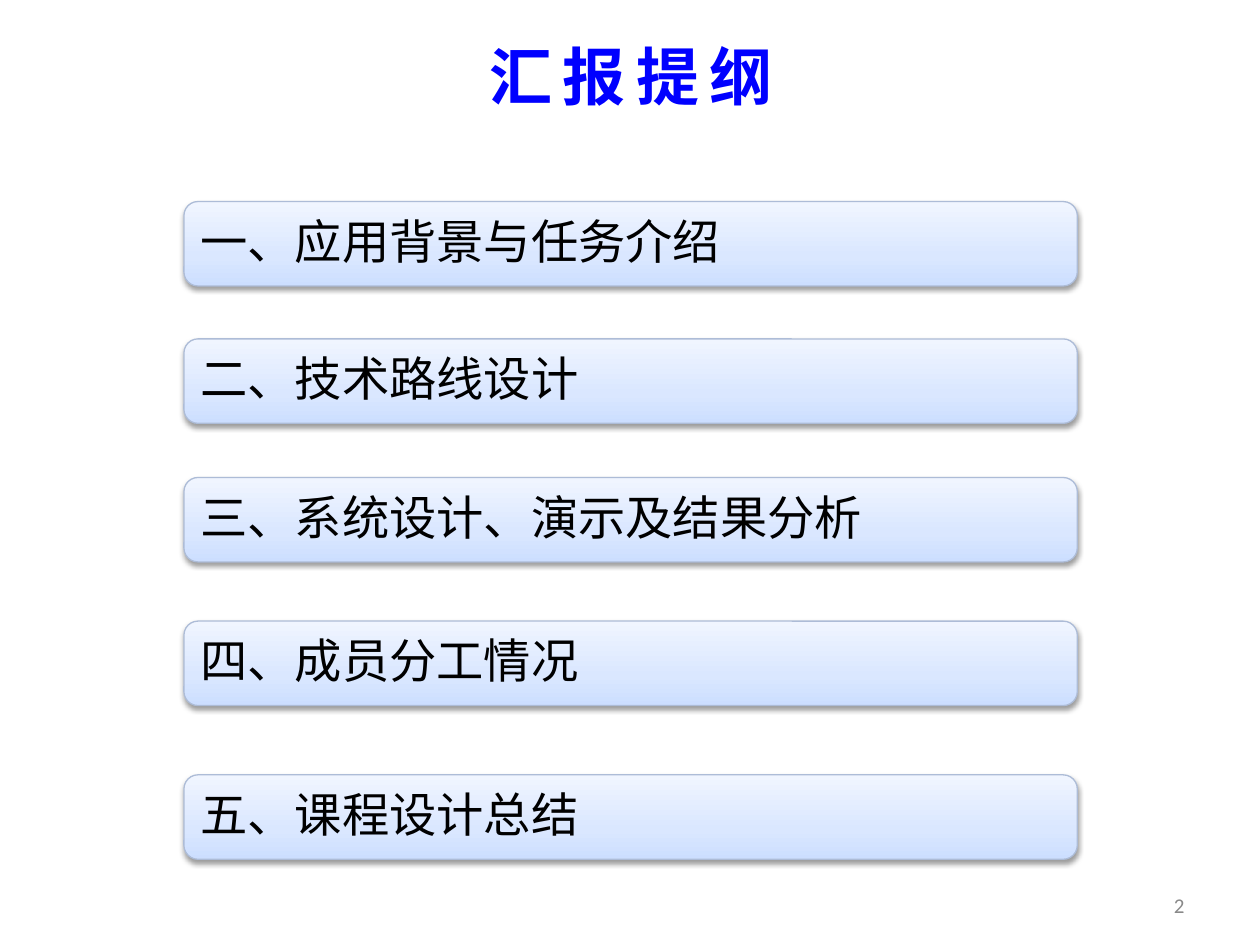
"""Build the report outline slide: a title, five agenda bars and a page number."""
from dataclasses import dataclass

from lxml import etree
from pptx import Presentation
from pptx.dml.color import RGBColor
from pptx.enum.shapes import MSO_SHAPE
from pptx.enum.text import MSO_ANCHOR, MSO_AUTO_SIZE, PP_ALIGN
from pptx.oxml import parse_xml
from pptx.oxml.ns import nsdecls, qn
from pptx.util import Inches, Pt

ROUNDED = MSO_SHAPE.ROUNDED_RECTANGLE
MIDDLE = MSO_ANCHOR.MIDDLE
NO_AUTOFIT = MSO_AUTO_SIZE.NONE
LEFT, CENTER, RIGHT = PP_ALIGN.LEFT, PP_ALIGN.CENTER, PP_ALIGN.RIGHT

HEADING = "汇报提纲"
PAGE_NUMBER = "2"
AGENDA = [
    (1.6, "一、应用背景与任务介绍"),
    (2.69, "二、技术路线设计"),
    (3.79, "三、系统设计、演示及结果分析"),
    (4.93, "四、成员分工情况"),
    (6.15, "五、课程设计总结"),
]
BAR_LEFT, BAR_WIDTH, BAR_HEIGHT = 1.46, 7.09, 0.67


@dataclass(frozen=True)
class Theme:
    cjk_font: str = "Noto Sans CJK SC"
    number_font: str = "Calibri"
    heading_color: str = "0000FF"
    agenda_color: str = "000000"
    number_color: str = "898989"
    bar_line: str = "ADBCD7"
    shadow: str = "000000"
    bar_stops: tuple = ((0, "CCDEFF"), (35, "DAE7FF"), (100, "F0F5FF"))
    heading_size: float = 36
    agenda_size: float = 27
    number_size: float = 12


THEME = Theme()


def write(frame, text, font, size, color, align, bold=False, spacing=None):
    frame.auto_size = NO_AUTOFIT
    frame.word_wrap = True
    frame.vertical_anchor = MIDDLE
    paragraph = frame.paragraphs[0]
    paragraph.alignment = align
    run = paragraph.add_run()
    run.text = text
    run.font.name = font
    run.font.size = Pt(size)
    run.font.bold = bold
    run.font.color.rgb = RGBColor.from_string(color)
    properties = run.font._element
    etree.SubElement(properties, qn("a:ea"), typeface=font)
    if spacing:
        properties.set("spc", str(spacing * 100))
    return paragraph


def style_bar(bar):
    bar.line.color.rgb = RGBColor.from_string(THEME.bar_line)
    bar.line.width = Pt(0.75)
    stops = "".join(
        f'<a:gs pos="{position * 1000}"><a:srgbClr val="{color}"/></a:gs>'
        for position, color in THEME.bar_stops
    )
    gradient = parse_xml(
        f'<a:gradFill {nsdecls("a")} rotWithShape="1"><a:gsLst>{stops}</a:gsLst>'
        '<a:lin ang="16200000" scaled="0"/></a:gradFill>'
    )
    properties = bar._element.spPr
    properties.find(qn("a:prstGeom")).addnext(gradient)
    bar.shadow.inherit = False
    properties.find(qn("a:effectLst")).append(parse_xml(
        f'<a:outerShdw {nsdecls("a")} blurRad="{Pt(3.1)}" dist="{Pt(1.6)}" '
        f'dir="5400000" rotWithShape="0"><a:srgbClr val="{THEME.shadow}">'
        '<a:alpha val="38000"/></a:srgbClr></a:outerShdw>'
    ))


def main():
    deck = Presentation()
    deck.slide_width, deck.slide_height = Inches(10), Inches(7.5)
    slide = deck.slides.add_slide(deck.slide_layouts.get_by_name("Title Only"))

    heading = slide.shapes.title
    heading.left, heading.top = Inches(0.67), Inches(0.21)
    heading.width, heading.height = Inches(8.68), Inches(0.78)
    write(heading.text_frame, HEADING, THEME.cjk_font, THEME.heading_size,
          THEME.heading_color, CENTER, bold=True, spacing=6)

    for top, topic in AGENDA:
        bar = slide.shapes.add_shape(ROUNDED, Inches(BAR_LEFT), Inches(top),
                                     Inches(BAR_WIDTH), Inches(BAR_HEIGHT))
        style_bar(bar)
        paragraph = write(bar.text_frame, topic, THEME.cjk_font, THEME.agenda_size,
                          THEME.agenda_color, LEFT)
        paragraph.line_spacing = 0.9

    number = slide.shapes.add_textbox(Inches(7.17), Inches(6.98), Inches(2.33), Inches(0.4))
    write(number.text_frame, PAGE_NUMBER, THEME.number_font, THEME.number_size,
          THEME.number_color, RIGHT)

    deck.save("out.pptx")


if __name__ == "__main__":
    main()
